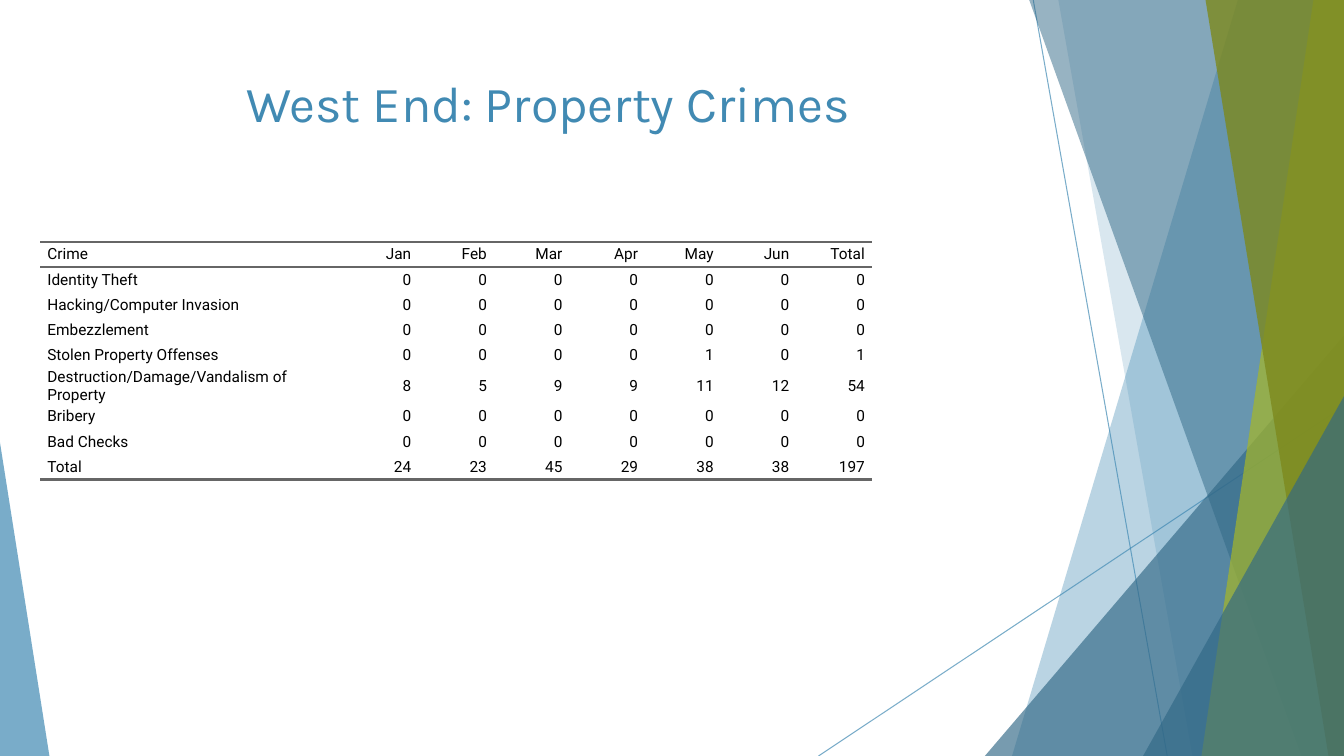
from lxml.etree import SubElement
from pptx import Presentation
from pptx.dml.color import RGBColor
from pptx.enum.shapes import MSO_CONNECTOR, MSO_SHAPE
from pptx.enum.text import MSO_ANCHOR, MSO_AUTO_SIZE, PP_ALIGN
from pptx.oxml import parse_xml
from pptx.oxml.ns import nsdecls, qn
from pptx.util import Inches, Pt

BLUE = RGBColor(0x41, 0x8A, 0xB3)
NAVY = RGBColor(0x31, 0x68, 0x86)
LIME = RGBColor(0xA6, 0xB7, 0x27)
OLIVE = RGBColor(0x7D, 0x89, 0x1D)
GRAY = RGBColor(0x66, 0x66, 0x66)
BLACK = RGBColor(0, 0, 0)

WIDE, HIGH = Inches(13.333), Inches(7.5)
PLAIN = "{2D5ABB26-0587-4C30-8999-92F81FD0307C}"  # table style without grid

MONTHS = ["Jan", "Feb", "Mar", "Apr", "May", "Jun"]
CRIMES = [
    ("Identity Theft", [0, 0, 0, 0, 0, 0, 0]),
    ("Hacking/Computer Invasion", [0, 0, 0, 0, 0, 0, 0]),
    ("Embezzlement", [0, 0, 0, 0, 0, 0, 0]),
    ("Stolen Property Offenses", [0, 0, 0, 0, 1, 0, 1]),
    ("Destruction/Damage/Vandalism of Property", [8, 5, 9, 9, 11, 12, 54]),
    ("Bribery", [0, 0, 0, 0, 0, 0, 0]),
    ("Bad Checks", [0, 0, 0, 0, 0, 0, 0]),
    ("Total", [24, 23, 45, 29, 38, 38, 197]),
]

# Facets in percent of the box, back to front: top left, bottom left
# for a band; left, top and apex side for a wedge
BACK = [(92.1, 75.3, BLUE, 36), (78.75, 88.73, BLUE, 20)]
MIDDLE = [(76.58, 96.83, NAVY, 50), (97.73, 89.4, LIME, 70),
          (89.7, 98.85, OLIVE, 80)]
RAYS = [(76.88, 0, 86.85, 100), (100, 53.73, 60.9, 100)]


def area(box, left, top, width, height):
    """Turn percent shares of a box into a box of its own."""
    x, y, w, h = box
    return (int(x + w * left / 100), int(y + h * top / 100),
            int(w * width / 100), int(h * height / 100))


def fade(fill, color, share):
    fill.solid()
    fill.fore_color.rgb = color
    tint = fill._xPr.find(qn("a:solidFill"))[0]
    SubElement(tint, qn("a:alpha"), val=str(share * 1000))


def paint(shape, color, share):
    shape.shadow.inherit = False
    shape.line.fill.background()
    fade(shape.fill, color, share)


def add_ray(slide, box, ray):
    x1, y1, x2, y2 = ray
    start, end = area(box, x1, y1, 0, 0), area(box, x2, y2, 0, 0)
    line = slide.shapes.add_connector(
        MSO_CONNECTOR.STRAIGHT, *start[:2], *end[:2])
    line.line.width = Pt(0.75)
    fade(line.line.fill, BLUE, 70)
    SubElement(line._element.spPr, qn("a:effectLst"))


def add_band(slide, box, band):
    """Four-sided facet that runs to the right edge of the box."""
    top, foot, color, share = band
    spots = [(top, 0), (100, 0), (100, 100), (foot, 100)]
    spots = [area(box, x, y, 0, 0)[:2] for x, y in spots]
    path = slide.shapes.build_freeform(*spots[0])
    path.add_line_segments(spots[1:], close=True)
    paint(path.convert_to_shape(), color, share)


def add_wedge(slide, box, apex, color, share):
    wedge = slide.shapes.add_shape(MSO_SHAPE.ISOSCELES_TRIANGLE, *box)
    wedge.adjustments[0] = apex
    paint(wedge, color, share)


def add_facets(slide, box):
    for ray in RAYS:
        add_ray(slide, box, ray)
    for band in BACK:
        add_band(slide, box, band)
    add_wedge(slide, area(box, 73.28, 44.4, 26.72, 55.6), 1, NAVY, 66)
    for band in MIDDLE:
        add_band(slide, box, band)
    add_wedge(slide, area(box, 85.05, 52.4, 14.95, 47.6), 1, NAVY, 66)
    add_wedge(slide, area(box, 0, 58.53, 3.68, 41.47), 0, BLUE, 70)


def add_rule(cell, side):
    """Draw one border; top must be added before bottom."""
    props = cell._tc.get_or_add_tcPr()
    rule = parse_xml(
        f'<a:{side} {nsdecls("a")} w="{Pt(2)}"><a:solidFill>'
        f'<a:srgbClr val="{GRAY}"/></a:solidFill></a:{side}>')
    props.append(rule)


def fill_cell(cell, text, align):
    cell.margin_left = cell.margin_right = Inches(0.07)
    cell.margin_top = cell.margin_bottom = 0
    cell.vertical_anchor = MSO_ANCHOR.MIDDLE
    para = cell.text_frame.paragraphs[0]
    para.text = str(text)
    para.alignment = align
    para.font.name = "Roboto"
    para.font.size = Pt(11)
    para.font.color.rgb = BLACK


def add_crimes(slide, box):
    rows = [["Crime", *MONTHS, "Total"]]
    rows += [[crime, *counts] for crime, counts in CRIMES]
    frame = slide.shapes.add_table(len(rows), len(rows[0]), *box)
    table = frame.table
    table.first_row = table.horz_banding = False
    table._tbl.tblPr.find(qn("a:tableStyleId")).text = PLAIN

    # The label column is four count columns wide
    unit = box[2] // (len(rows[0]) + 3)
    for n, col in enumerate(table.columns):
        col.width = unit if n else unit * 4

    for r, row in enumerate(rows):
        table.rows[r].height = box[3] // len(rows)
        for c, text in enumerate(row):
            cell = table.cell(r, c)
            fill_cell(cell, text, PP_ALIGN.RIGHT if c else PP_ALIGN.LEFT)
            if r == 0:
                add_rule(cell, "lnT")
            if r in (0, len(rows) - 1):
                add_rule(cell, "lnB")
            cell.fill.background()


def set_title(slide, box, text):
    title = slide.shapes.title
    title.left, title.top, title.width, title.height = box
    frame = title.text_frame
    frame.text = text
    frame.word_wrap = True
    frame.auto_size = MSO_AUTO_SIZE.NONE
    frame.vertical_anchor = MSO_ANCHOR.TOP
    para = frame.paragraphs[0]
    para.alignment = PP_ALIGN.CENTER
    para.font.name = "Karla"
    para.font.size = Pt(36)
    para.font.color.rgb = BLUE


def main():
    deck = Presentation()
    deck.slide_width, deck.slide_height = WIDE, HIGH
    slide = deck.slides.add_slide(deck.slide_layouts[5])
    page = (0, 0, WIDE, HIGH)
    add_facets(slide, page)
    add_crimes(slide, area(page, 3, 32, 61.88, 30))
    set_title(slide, area(page, 5.55, 8.93, 70.5, 19.2),
              "West End: Property Crimes")
    deck.save("out.pptx")


if __name__ == "__main__":
    main()
